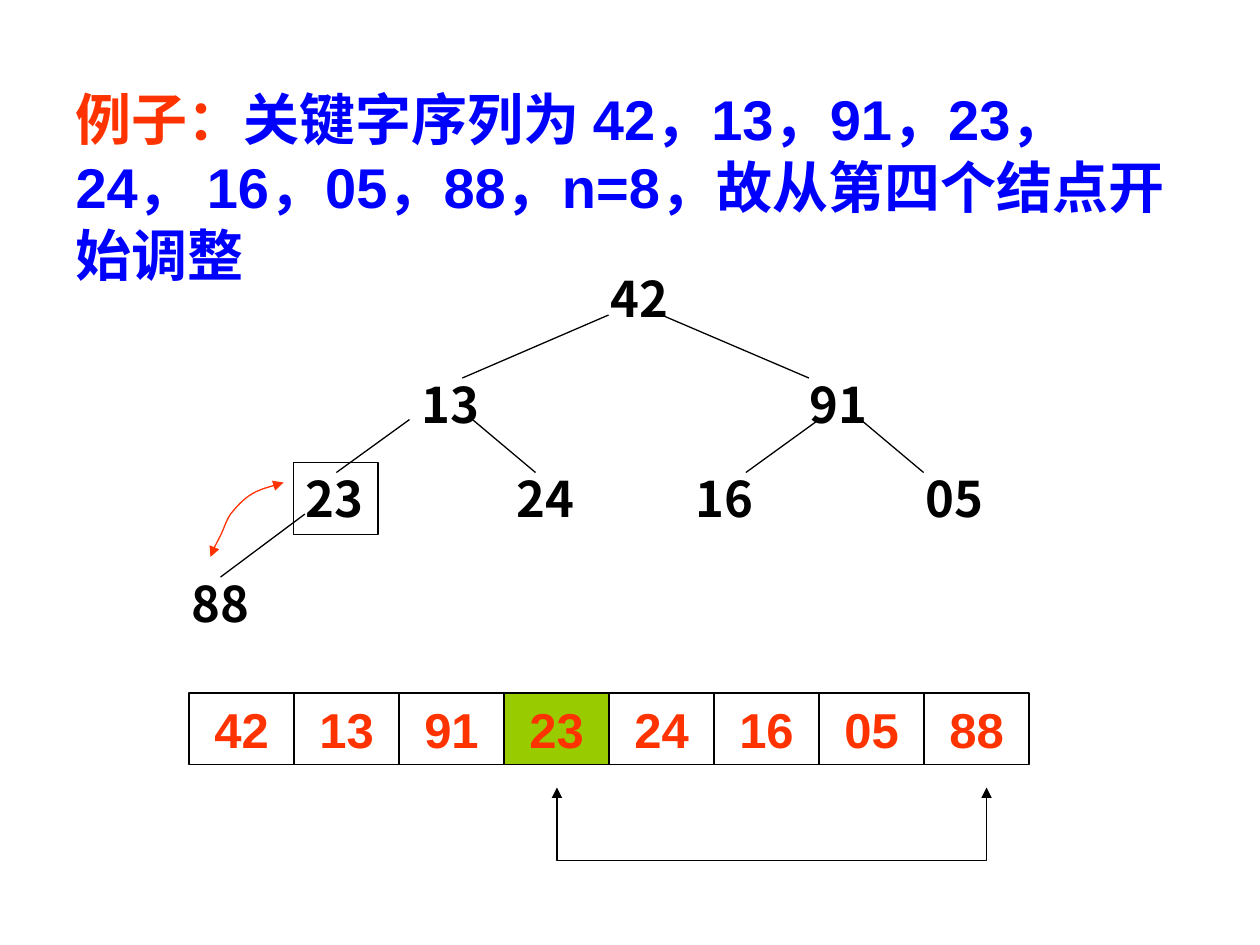
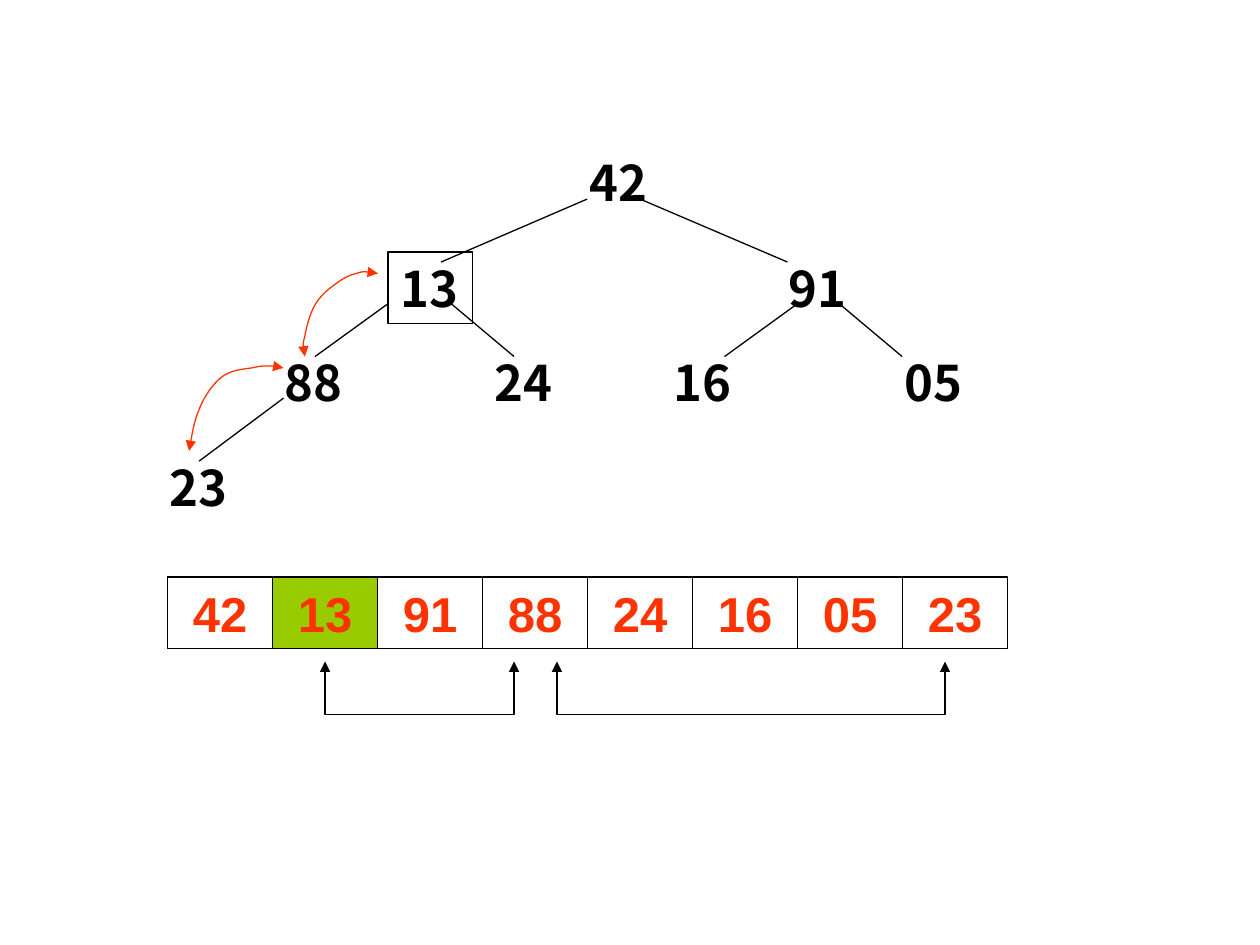
import pptx
import pptx.util
import pptx.dml.color
import pptx.enum.shapes
import pptx.enum.text
import pptx.oxml
import pptx.oxml.ns

Inches, Pt = pptx.util.Inches, pptx.util.Pt
qn = pptx.oxml.ns.qn
SHAPE = pptx.enum.shapes.MSO_SHAPE
ALIGN = pptx.enum.text.PP_ALIGN
ANCHOR = pptx.enum.text.MSO_ANCHOR

BLACK, RED, BLUE, GREEN = "000000", "FF3300", "0000FF", "99CC00"
LATIN, HAN = "Arial", "Noto Sans CJK SC"
TALL = 0.57
CELL = 5 / 6

# Places of the tree nodes, level by level, on the first slide
NODES = [(4.75, 2.08), (3.25, 2.92), (6.33, 2.92), (2.33, 3.67),
         (4, 3.67), (5.42, 3.67), (7.25, 3.67), (1.42, 4.5)]
EDGES = [(4.83, 2.5, 3.67, 3), (5.25, 2.5, 6.42, 3),
         (3.25, 3.33, 2.67, 3.75), (3.75, 3.33, 4.25, 3.75),
         (6.5, 3.33, 5.92, 3.75), (6.83, 3.33, 7.33, 3.75),
         (2.42, 4.08, 1.75, 4.58)]


def rgb(code):
    return pptx.dml.color.RGBColor.from_string(code)


def style(run, size, name, color):
    run.font.size = Pt(size)
    run.font.name = name
    run.font.bold = True
    run.font.color.rgb = rgb(color)


def stroke(line, color=BLACK):
    line.color.rgb = rgb(color)
    line.width = Pt(0.75)


def add_title(slide, lead, rest):
    title = slide.shapes.title
    title.left, title.top = Inches(0.5), Inches(0.62)
    title.width, title.height = Inches(9.08), Inches(1.7)
    frame = title.text_frame
    frame.word_wrap = True
    frame.auto_size = pptx.enum.text.MSO_AUTO_SIZE.NONE
    frame.vertical_anchor = ANCHOR.TOP
    para = frame.paragraphs[0]
    para.alignment = ALIGN.LEFT
    para.line_spacing = Pt(38.7)
    for text, color in ((lead, RED), (rest, BLUE)):
        run = para.add_run()
        run.text = text
        style(run, 32, LATIN, color)
        font = pptx.oxml.parse_xml(
            f'<a:ea {pptx.oxml.ns.nsdecls("a")} typeface="{HAN}"/>')
        run.font._element.find(qn("a:latin")).addnext(font)


def add_box(slide, text, left, top, width, name, color, framed=True):
    """Add a number, in a frame or bare."""
    place = [Inches(n) for n in (left, top, width, TALL)]
    if framed:
        box = slide.shapes.add_shape(SHAPE.RECTANGLE, *place)
        box.shadow.inherit = False
        box.fill.background()
        stroke(box.line)
    else:
        box = slide.shapes.add_textbox(*place)
    frame = box.text_frame
    frame.word_wrap = True
    frame.margin_top = frame.margin_bottom = 0
    frame.vertical_anchor = ANCHOR.MIDDLE
    frame.text = text
    para = frame.paragraphs[0]
    para.alignment = ALIGN.LEFT
    style(para.runs[0], 28, name, color)
    return box


def add_edge(slide, *ends):
    edge = slide.shapes.add_connector(
        pptx.enum.shapes.MSO_CONNECTOR.STRAIGHT, *map(Inches, ends))
    stroke(edge.line)
    pptx.oxml.ns.qn("a:effectLst")
    edge._element.spPr.append(pptx.oxml.parse_xml(
        f'<a:effectLst {pptx.oxml.ns.nsdecls("a")}/>'))


def add_tree(slide, keys, focus, right=0, down=0):
    for spot, (key, (left, top)) in enumerate(zip(keys, NODES)):
        add_box(slide, key, left + right, top + down, 0.67, HAN, BLACK,
                spot == focus)
    for x1, y1, x2, y2 in EDGES:
        add_edge(slide, x1 + right, y1 + down, x2 + right, y2 + down)


def add_array(slide, keys, focus, left, top):
    for spot, key in enumerate(keys):
        cell = add_box(slide, key, left + spot * CELL, top, CELL, LATIN, RED)
        para = cell.text_frame.paragraphs[0]
        para.alignment = ALIGN.CENTER
        para.line_spacing = Pt(33.8)
        if spot == focus:
            cell.fill.solid()
            cell.fill.fore_color.rgb = rgb(GREEN)


def add_swap(slide, points, color):
    """Draw an open outline with an arrowhead at both ends."""
    spots = [(Inches(x), Inches(y)) for x, y in points]
    pen = slide.shapes.build_freeform(*spots[0])
    pen.add_line_segments(spots[1:], close=False)
    swap = pen.convert_to_shape()
    swap.shadow.inherit = False
    swap.fill.background()
    stroke(swap.line, color)
    line = swap.line._get_or_add_ln()
    for end in ("headEnd", "tailEnd"):
        line.append(pptx.oxml.parse_xml(
            f'<a:{end} {pptx.oxml.ns.nsdecls("a")} type="triangle"/>'))
    return swap


def add_hook(slide, left, right, top, low):
    add_swap(slide, [(left, top), (left, low), (right, low), (right, top)],
             BLACK)


def add_curve(slide, points):
    """Draw a swap arc: a start, then three Bezier points for each bend."""
    swap = add_swap(slide, points, RED)
    steps = swap._element.xpath(".//a:lnTo")
    for first in range(0, len(steps), 3):
        bend = pptx.oxml.parse_xml(
            f'<a:cubicBezTo {pptx.oxml.ns.nsdecls("a")}/>')
        steps[first].addprevious(bend)
        for step in steps[first:first + 3]:
            bend.append(step[0])
            step.getparent().remove(step)


def main():
    deck = pptx.Presentation()
    deck.slide_width, deck.slide_height = Inches(10), Inches(7.5)

    slide = deck.slides.add_slide(deck.slide_layouts[5])
    keys = "42 13 91 23 24 16 05 88".split()
    add_title(slide, "例子：", "关键字序列为 42，13，91，23， 24， 16，05，"
              "88，n=8，故从第四个结点开始调整")
    add_tree(slide, keys, 3)
    add_array(slide, keys, 3, 1.5, 5.5)
    add_hook(slide, 4.42, 7.83, 6.25, 6.83)
    add_curve(slide, [(1.67, 4.42), (1.69, 4.36), (1.72, 4.31), (1.75, 4.25),
                      (1.78, 4.19), (1.79, 4.14), (1.83, 4.08),
                      (1.87, 4.03), (1.93, 3.96), (2, 3.92),
                      (2.07, 3.88), (2.19, 3.85), (2.25, 3.83)])

    slide = deck.slides.add_slide(deck.slide_layouts[6])
    keys = "42 13 91 88 24 16 05 23".split()
    add_tree(slide, keys, 1, -0.17, -0.92)
    add_array(slide, keys, 1, 1.33, 4.58)
    add_hook(slide, 2.58, 4.08, 5.25, 5.67)
    add_hook(slide, 4.42, 7.5, 5.25, 5.67)
    add_curve(slide, [(1.5, 3.58), (1.52, 3.47), (1.54, 3.35), (1.58, 3.25),
                      (1.62, 3.15), (1.68, 3.06), (1.75, 3),
                      (1.82, 2.94), (1.92, 2.93), (2, 2.92),
                      (2.08, 2.9), (2.21, 2.9), (2.25, 2.92)])
    add_curve(slide, [(2.42, 2.83), (2.41, 2.78), (2.4, 2.74), (2.42, 2.67),
                      (2.43, 2.6), (2.46, 2.49), (2.5, 2.42),
                      (2.54, 2.35), (2.61, 2.29), (2.67, 2.25),
                      (2.72, 2.21), (2.78, 2.18), (2.83, 2.17),
                      (2.89, 2.15), (2.94, 2.16), (3, 2.17)])
    deck.save("out.pptx")


if __name__ == "__main__":
    main()
